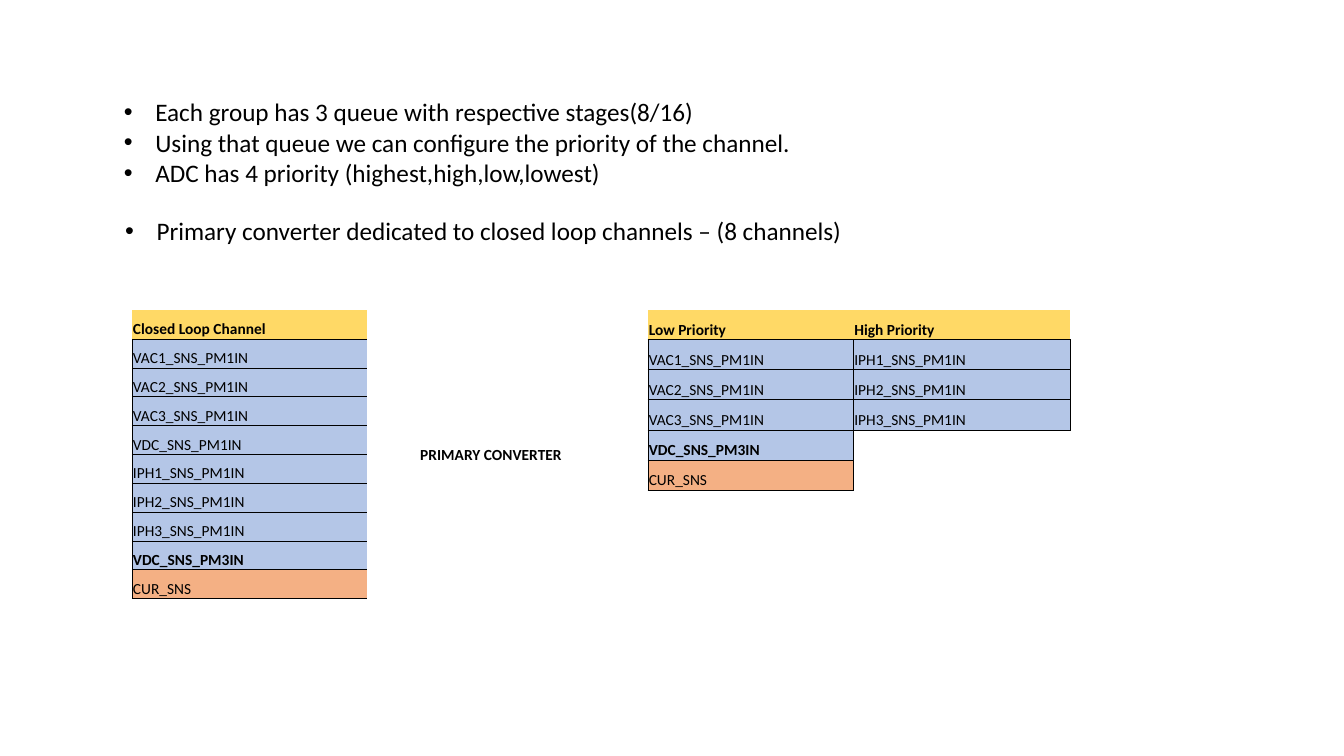
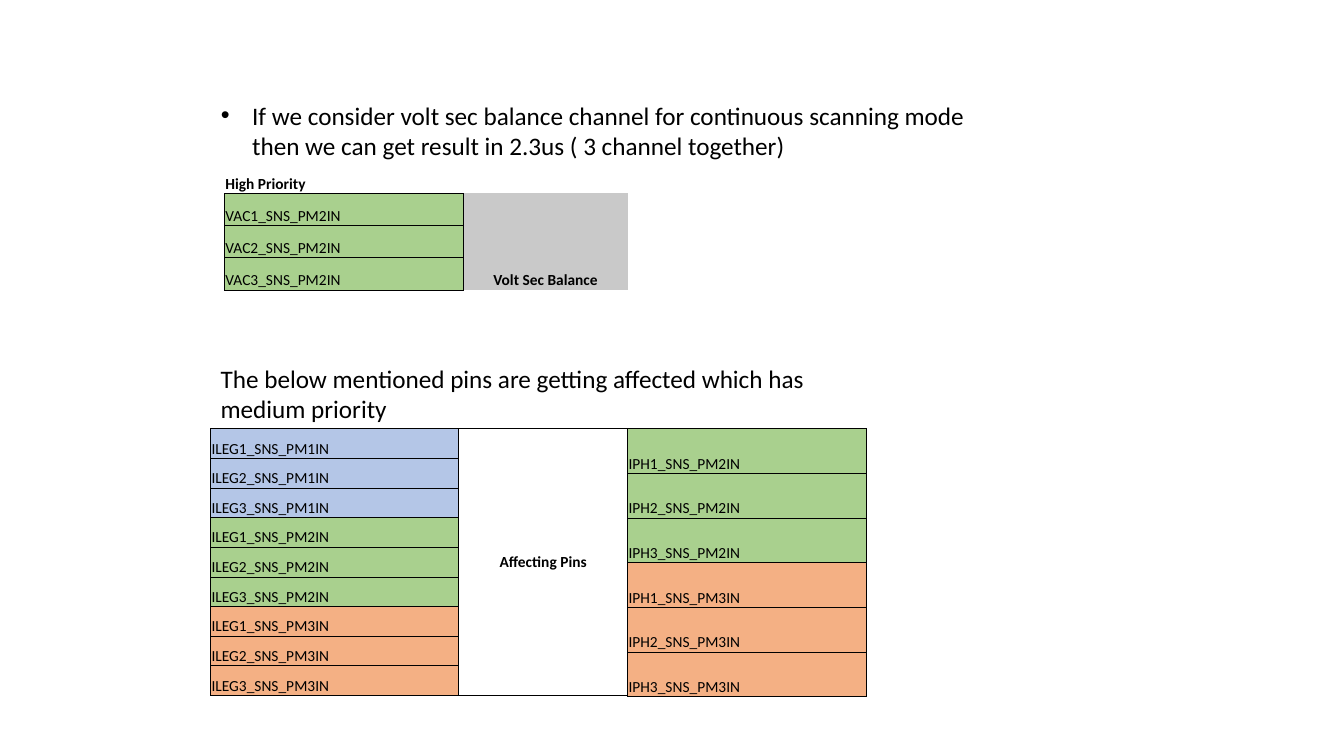
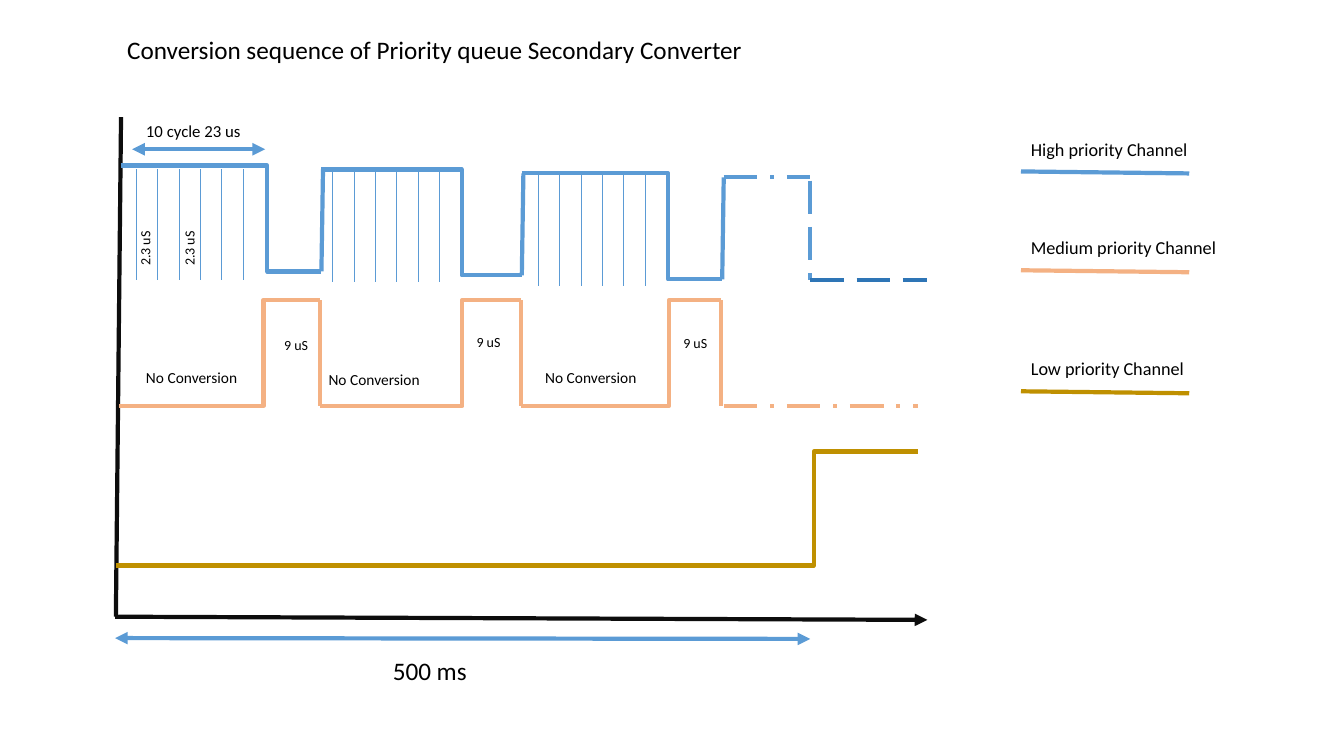
from dataclasses import dataclass

from lxml import etree
from pptx import Presentation
from pptx import util as u
from pptx.dml.color import RGBColor
from pptx.enum import dml, shapes, text
from pptx.oxml.ns import qn


@dataclass(frozen=True)
class Theme:
    """Colours, font and type sizes shared by all slides."""
    font: str = "Calibri"
    ink: str = "000000"
    axis: str = "0D0D0D"
    gold: str = "FFD966"
    blue: str = "B4C6E7"
    orange: str = "F4B084"
    green: str = "A9D08E"
    grey: str = "C9C9C9"
    high: str = "5B9BD5"
    high_idle: str = "2E75B6"
    medium: str = "F4B183"
    low: str = "BF9000"
    heading: int = 18
    legend: int = 13
    label: int = 12
    cell: int = 11
    small: int = 10
    thick: float = 3
    thin: float = 0.5


@dataclass(frozen=True)
class Box:
    """A region of the page, in centimetres."""
    left: float
    top: float
    width: float
    height: float

    def inner(self, left, top, width, height):
        """Return a box given relative to this one."""
        return Box(self.left + left, self.top + top, width, height)

    def lengths(self):
        """Return left, top, width and height as lengths."""
        return [u.Cm(n) for n in (self.left, self.top, self.width, self.height)]


@dataclass(frozen=True)
class Look:
    """Appearance of a table cell; edges names its drawn borders."""
    fill: str = ""
    bold: bool = False
    edges: str = "LRTB"
    align: text.PP_ALIGN = text.PP_ALIGN.LEFT
    anchor: text.MSO_ANCHOR = text.MSO_ANCHOR.BOTTOM


THEME = Theme()
CENTER, MIDDLE = text.PP_ALIGN.CENTER, text.MSO_ANCHOR.MIDDLE
HEADER = Look(THEME.gold, True, "B")
PLAIN_HEADER = Look("", True, "B")
BLUE, GREEN, ORANGE = Look(THEME.blue), Look(THEME.green), Look(THEME.orange)
BLUE_BOLD = Look(THEME.blue, True)
LONG_DASH = dml.MSO_LINE.LONG_DASH
DASH_DOT = dml.MSO_LINE.LONG_DASH_DOT


def rgb(value):
    """Turn a hex string into a colour."""
    return RGBColor.from_string(value)


def write(frame, lines, size, bold=False, align=text.PP_ALIGN.LEFT):
    """Fill a text frame with one paragraph per line and format it."""
    frame.text = "\n".join(lines)
    for para in frame.paragraphs:
        para.alignment = align
        para.space_before = u.Pt(0)
        for span in para.runs:
            span.font.name = THEME.font
            span.font.size = u.Pt(size)
            span.font.bold = bold
            span.font.color.rgb = rgb(THEME.ink)


def fill_placeholder(holder, box, lines, bulleted=True):
    """Move a placeholder into the box and write its lines."""
    holder.left, holder.top, holder.width, holder.height = box.lengths()
    frame = holder.text_frame
    frame.word_wrap = True
    frame.auto_size = text.MSO_AUTO_SIZE.NONE
    frame.vertical_anchor = text.MSO_ANCHOR.TOP
    write(frame, lines, THEME.heading)
    if bulleted:
        for para in frame.paragraphs:
            props = para._p.get_or_add_pPr()
            props.set("marL", str(u.Cm(0.79)))
            props.set("indent", str(-u.Cm(0.79)))
            etree.SubElement(props, qn("a:buFont"), typeface="Arial")
            etree.SubElement(props, qn("a:buChar"), char="•")


def add_label(page, box, words, size, rotation=0):
    """Add a wrapped text box."""
    label = page.shapes.add_textbox(*box.lengths())
    label.rotation = rotation
    label.text_frame.word_wrap = True
    write(label.text_frame, [words], size)


def style_cell(cell, look):
    """Apply fill, margins, anchor and borders to a cell."""
    cell.margin_left = cell.margin_right = cell.margin_top = u.Cm(0.02)
    cell.margin_bottom = u.Cm(0)
    cell.vertical_anchor = look.anchor
    if look.fill:
        cell.fill.solid()
        cell.fill.fore_color.rgb = rgb(look.fill)
    else:
        cell.fill.background()
    props = cell._tc.get_or_add_tcPr()
    for place, side in enumerate("LRTB"):
        edge = etree.Element(qn("a:ln" + side), w=str(u.Pt(THEME.thin)))
        if side in look.edges:
            paint = etree.SubElement(edge, qn("a:solidFill"))
            etree.SubElement(paint, qn("a:srgbClr"), val=THEME.ink)
        else:
            etree.SubElement(edge, qn("a:noFill"))
        props.insert(place, edge)


def add_grid(page, box, widths, columns):
    """Add a table from columns of (words, look, rows spanned) entries."""
    rows = sum(entry[2] for entry in columns[0])
    table = page.shapes.add_table(rows, len(columns), *box.lengths()).table
    table.first_row = table.horz_banding = False
    for row in table.rows:
        row.height = u.Cm(box.height / rows)
    for col, (width, entries) in enumerate(zip(widths, columns)):
        table.columns[col].width = u.Cm(width)
        top = 0
        for words, look, height in entries:
            for row in range(top, top + height):
                cell = table.cell(row, col)
                style_cell(cell, look)
                if words and row == top:
                    write(cell.text_frame, [words], THEME.cell, look.bold, look.align)
                else:
                    etree.SubElement(cell.text_frame.paragraphs[0]._p,
                                     qn("a:endParaRPr"), sz=str(THEME.cell * 100))
            if height > 1:
                table.cell(top, col).merge(table.cell(top + height - 1, col))
            top += height


def entries(look, *names):
    """Return single-row table entries that share a look."""
    return [(name, look, 1) for name in names]


def signals(look, kind, module):
    """Return the entries of the three phase signals of a module."""
    return entries(look, *[f"{kind}{n}_SNS_PM{module}IN" for n in (1, 2, 3)])


def draw_line(page, box, start, end, color, width=THEME.thick, dash=None,
              arrows=(), bend=None):
    """Draw a line between points of the box; bend makes it an elbow."""
    kind = shapes.MSO_CONNECTOR.STRAIGHT if bend is None else shapes.MSO_CONNECTOR.ELBOW
    points = [u.Cm(base + n) for point in (start, end)
              for base, n in zip((box.left, box.top), point)]
    line = page.shapes.add_connector(kind, *points)
    line.line.color.rgb = rgb(color)
    line.line.width = u.Pt(width)
    if dash is not None:
        line.line.dash_style = dash
    props = line._element.spPr
    for tip in arrows:
        etree.SubElement(props.find(qn("a:ln")), qn("a:" + tip), type="triangle")
    etree.SubElement(props, qn("a:effectLst"))
    if bend is not None:
        guides = props.find(qn("a:prstGeom")).get_or_add_avLst()
        etree.SubElement(guides, qn("a:gd"), name="adj1",
                         fmla=f"val {round(bend * 100000)}")


def draw_axes(page, box):
    """Draw the axes and the two duration arrows with their labels."""
    draw_line(page, box, (0.15, 0.05), (0.02, 12.64), THEME.axis)
    draw_line(page, box, (0, 12.64), (20.47, 12.72), THEME.axis, arrows=["tailEnd"])
    both = ["headEnd", "tailEnd"]
    draw_line(page, box, (0.43, 0.86), (3.78, 0.86), THEME.high, arrows=both)
    draw_line(page, box, (0, 13.18), (17.52, 13.2), THEME.high, arrows=both)
    add_label(page, box.inner(0.53, 0.02, 3.02, 0.76), "10 cycle 23 us", THEME.label)
    add_label(page, box.inner(6.75, 13.48, 4.19, 1.02), "500 ms", THEME.heading)


def draw_high_wave(page, box):
    """Draw the high priority pulses, their cycles and the dashed tail."""
    step, drop, drift = 5.05, 2.67, 0.1
    for cycle, bend in enumerate((0.73, 0.7, 0.73)):
        left, top = 0.15 + step * cycle, 1.27 + drift * cycle
        right, bottom = left + step, top + drop
        draw_line(page, box, (left, top), (right, bottom), THEME.high, bend=bend)
        draw_line(page, box, (right, bottom), (right + 0.04, top + drift), THEME.high)
    for left, top in ((0.53, 1.37), (5.48, 1.42), (10.66, 1.52)):
        for tick in range(6):
            across = left + 0.54 * tick
            draw_line(page, box, (across, top), (across, top + 2.79),
                      THEME.high, THEME.thin)
    draw_line(page, box, (15.34, 1.57), (17.52, 1.57), THEME.high, dash=DASH_DOT)
    draw_line(page, box, (17.52, 1.65), (17.52, 4.16), THEME.high, dash=LONG_DASH)
    draw_line(page, box, (17.52, 4.16), (20.47, 4.16), THEME.high_idle, dash=LONG_DASH)
    for left in (-0.03, 1.09):
        add_label(page, box.inner(left, 2.92, 1.57, 0.69), "2.3 uS", THEME.small, 270)


def draw_medium_wave(page, box):
    """Draw the medium priority pulses with their labels."""
    step, crest, base = 5.06, 4.66, 7.33
    for cycle, bend in enumerate((0.72, 0.71, 0.74)):
        left = 0.1 + step * cycle
        draw_line(page, box, (left, base), (left + step, crest), THEME.medium, bend=bend)
        draw_line(page, box, (left + step, crest), (left + step, base), THEME.medium)
    draw_line(page, box, (15.34, base), (20.24, base), THEME.medium, dash=DASH_DOT)
    for left, top in ((0.53, 6.24), (5.13, 6.29), (10.59, 6.24)):
        add_label(page, box.inner(left, top, 4.19, 0.74), "No Conversion", THEME.cell)
    for left, top in ((4.01, 5.46), (8.86, 5.38), (14.07, 5.41)):
        add_label(page, box.inner(left, top, 1.2, 0.69), "9 uS", THEME.small)


def draw_low_wave(page, box):
    """Draw the single low priority step."""
    draw_line(page, box, (0.02, 11.35), (20.24, 8.48), THEME.low, bend=0.87)


def draw_legend(page, box):
    """Draw one named sample line per priority."""
    for level, top, color in (("High", 0, THEME.high), ("Medium", 2.49, THEME.medium),
                              ("Low", 5.54, THEME.low)):
        add_label(page, box.inner(0, top, box.width, 0.81),
                  f"{level} priority Channel", THEME.legend)
        draw_line(page, box, (0, top + 0.97), (4.24, top + 1.02), color)


def new_page(deck, layout, titled=False):
    """Add a slide, dropping its title placeholder if unused."""
    page = deck.slides.add_slide(deck.slide_layouts[layout])
    if not titled:
        title = page.shapes.title._element
        title.getparent().remove(title)
    return page


def build_primary(deck):
    """Build the slide on queues and the primary converter."""
    page = new_page(deck, 3)
    queues, converter = page.placeholders
    fill_placeholder(queues, Box(2.87, 2.31, 17.6, 2.57), [
        "Each group has 3 queue with respective stages(8/16)",
        "Using that queue we can configure the priority of the channel.",
        "ADC has 4 priority (highest,high,low,lowest)"])
    fill_placeholder(converter, Box(2.9, 5.31, 19.58, 2.57), [
        "Primary converter dedicated to closed loop channels – (8 channels)"])
    voltages, currents = signals(BLUE, "VAC", 1), signals(BLUE, "IPH", 1)
    closing = entries(BLUE_BOLD, "VDC_SNS_PM3IN") + entries(ORANGE, "CUR_SNS")
    channels = (entries(HEADER, "Closed Loop Channel") + voltages
                + entries(BLUE, "VDC_SNS_PM1IN") + currents + closing)
    note = Look("", True, "", CENTER, MIDDLE)
    add_grid(page, Box(3.33, 7.82, 12.17, 7.26), (5.92, 6.25),
             [channels, [("PRIMARY CONVERTER", note, 10)]])
    blanks = [("", Look(edges="LT"), 1), ("", Look(edges="L"), 1)]
    add_grid(page, Box(16.33, 7.8, 10.64, 4.55), (5.18, 5.46),
             [entries(HEADER, "Low Priority") + voltages + closing,
              entries(HEADER, "High Priority") + currents + blanks])


def build_balance(deck):
    """Build the slide on volt sec balance and the affected pins."""
    page = new_page(deck, 1)
    body, = page.placeholders
    fill_placeholder(body, Box(5.31, 2.39, 20.22, 1.8), [
        "If we consider volt sec balance channel for continuous scanning mode "
        "then we can get result in 2.3us ( 3 channel together)"])
    balance = Look(THEME.grey, True, "L", CENTER)
    add_grid(page, Box(5.66, 4.06, 10.16, 3.25), (6.02, 4.14),
             [entries(PLAIN_HEADER, "High Priority") + signals(GREEN, "VAC", 2),
              [("", Look(edges=""), 1), ("Volt Sec Balance", balance, 3)]])
    add_label(page, Box(5.31, 9.02, 16.79, 1.8),
              "The below mentioned pins are getting affected which has medium priority",
              THEME.heading)
    legs = [entry for module, look in enumerate((BLUE, GREEN, ORANGE), 1)
            for entry in signals(look, "ILEG", module)]
    affected = Look("", True, "LRTB", CENTER, MIDDLE)
    add_grid(page, Box(5.31, 10.8, 10.52, 6.73), (6.24, 4.28),
             [legs, [("Affecting Pins", affected, 9)]])
    add_grid(page, Box(15.82, 10.8, 6.02, 6.76), (6.02,),
             [signals(GREEN, "IPH", 2) + signals(ORANGE, "IPH", 3)])


def build_timing(deck):
    """Build the timing diagram of the secondary converter."""
    page = new_page(deck, 5, titled=True)
    fill_placeholder(page.shapes.title, Box(2.95, 0.74, 16.76, 1.02),
                     ["Conversion sequence of Priority queue Secondary Converter"],
                     bulleted=False)
    diagram = Box(2.9, 2.9, 20.47, 14.5)
    for draw in (draw_axes, draw_high_wave, draw_medium_wave, draw_low_wave):
        draw(page, diagram)
    draw_legend(page, Box(25.73, 3.35, 5.36, 6.56))


def main():
    """Build and save the deck."""
    deck = Presentation()
    deck.slide_width, deck.slide_height = u.Cm(33.87), u.Cm(19.05)
    for build in (build_primary, build_balance, build_timing):
        build(deck)
    deck.save("out.pptx")


main()
